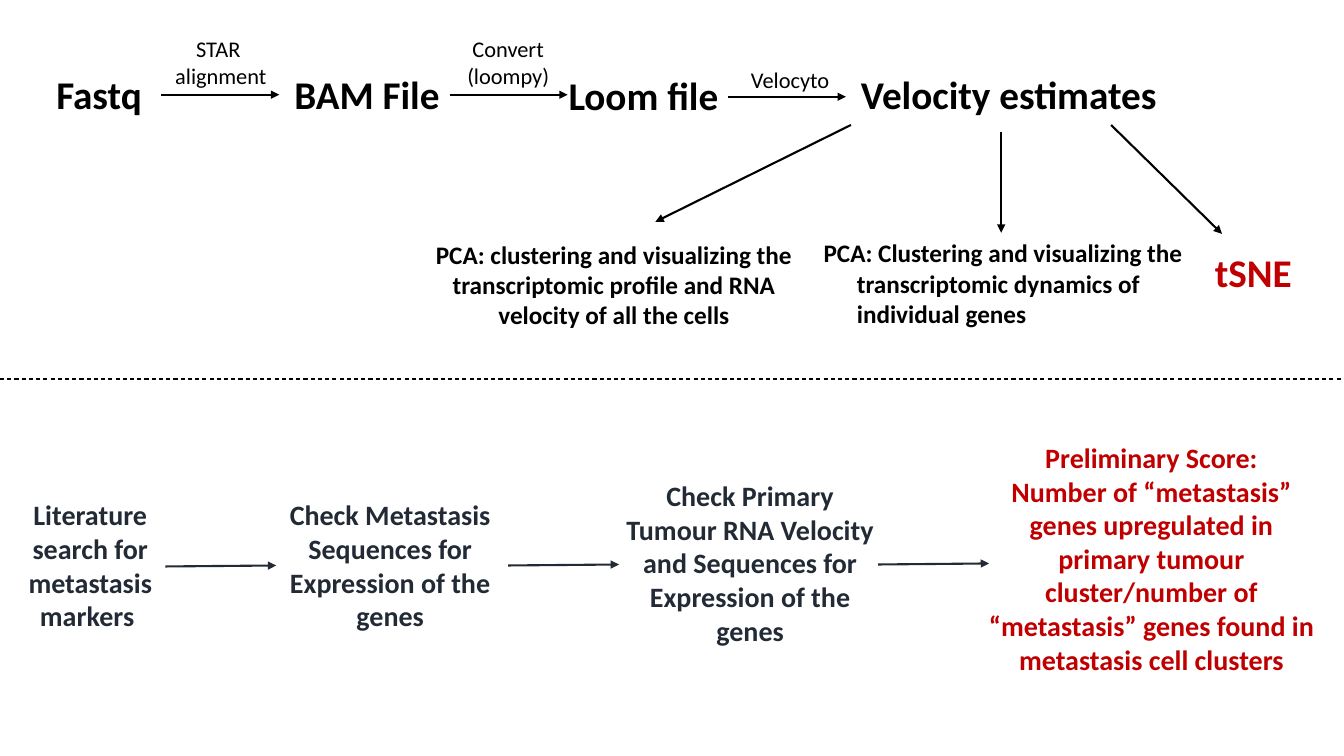
from lxml import etree
from pptx import Presentation
from pptx.dml.color import RGBColor
from pptx.enum.dml import MSO_LINE
from pptx.enum.shapes import MSO_CONNECTOR
from pptx.enum.text import PP_ALIGN
from pptx.oxml.ns import qn
from pptx.util import Inches, Pt

LEFT, CENTER = PP_ALIGN.LEFT, PP_ALIGN.CENTER
DASH = MSO_LINE.DASH
STRAIGHT = MSO_CONNECTOR.STRAIGHT
COLORS = {"black": "000000", "slate": "222A35", "red": "C00000"}
FONT = "Calibri"


class Board:
    """Holds the style and the current slide."""

    def __init__(self, slide):
        """Keep the slide to draw on."""
        self.slide = slide

    def text(self, box, words, size, color="black", bold=True, align=LEFT, hang=0):
        """Add a wrapped text box; each line of words is a paragraph."""
        frame = self.slide.shapes.add_textbox(*map(Inches, box)).text_frame
        frame.word_wrap = True
        frame.text = words
        for para in frame.paragraphs:
            para.alignment = align
            if hang:
                props = para._p.get_or_add_pPr()
                props.set("marL", str(Inches(hang)))
                props.set("indent", str(-Inches(hang)))
            for run in para.runs:
                font = run.font
                font.name, font.size, font.bold = FONT, Pt(size), bold
                font.color.rgb = RGBColor.from_string(COLORS[color])

    def line(self, start, end, color="black", width=1.5, dash=None):
        """Add a straight line without shadow."""
        link = self.slide.shapes.add_connector(
            STRAIGHT, *map(Inches, (*start, *end)))
        link.line.color.rgb = RGBColor.from_string(COLORS[color])
        link.line.width = Pt(width)
        if dash:
            link.line.dash_style = dash
        etree.SubElement(link._element.spPr, qn("a:effectLst"))
        return link

    def arrow(self, start, end, color="black"):
        """Add a line that ends in a triangle."""
        link = self.line(start, end, color)
        etree.SubElement(link.line._get_or_add_ln(), qn("a:tailEnd"), type="triangle")


def draw_files(board):
    """Draw the top row, from reads to velocity estimates."""
    for left, top, width, name in (
            (0.46, 0.65, 2.72, "Fastq"), (2.82, 0.65, 2.72, "BAM File"),
            (5.54, 0.66, 2.72, "Loom file"),
            (8.44, 0.65, 3.96, "Velocity estimates")):
        board.text((left, top, width, 0.57), name, 28)
    for left, y in ((1.6, 0.94), (4.46, 0.94), (7.22, 0.96)):
        board.arrow((left, y), (left + 1.17, y))
    for left, top, height, label, align in (
            (0.83, 0.3, 0.64, "STAR \nalignment", CENTER),
            (3.68, 0.3, 0.64, "Convert\n(loompy)", CENTER),
            (7.35, 0.61, 0.37, "Velocyto", LEFT)):
        board.text((left, top, 2.72, height), label, 16, bold=False, align=align)


def draw_plots(board):
    """Draw the three results of the velocity estimates."""
    for start, end in (((8.44, 1.24), (6.5, 2.2)),
                       ((9.93, 1.31), (9.93, 2.31)),
                       ((11.02, 1.24), (12.12, 2.32))):
        board.arrow(start, end)
    board.text((4.11, 2.32, 3.96, 1.01),
               "PCA: clustering and visualizing the transcriptomic profile "
               "and RNA velocity of all the cells", 18, align=CENTER)
    board.text((8.07, 2.31, 4.05, 1.01),
               "PCA: Clustering and visualizing the transcriptomic dynamics "
               "of individual genes", 18, hang=0.33)
    board.text((11.95, 2.41, 1.3, 0.57), "tSNE", 28, "red")


def draw_score(board):
    """Draw the bottom row, from literature to score."""
    for box, words, color in (
            ((0.02, 4.89, 1.75, 1.45),
             "Literature search for metastasis markers ", "slate"),
            ((2.51, 4.89, 2.72, 1.45),
             "Check Metastasis Sequences for Expression of the genes", "slate"),
            ((6.08, 4.7, 2.72, 1.78),
             "Check Primary Tumour RNA Velocity and Sequences for "
             "Expression of the genes", "slate"),
            ((9.65, 4.32, 3.54, 2.46),
             "Preliminary Score:\nNumber of “metastasis” genes upregulated in "
             "primary tumour cluster/number of “metastasis” genes found in "
             "metastasis cell clusters", "red")):
        board.text(box, words, 20, color, align=CENTER)
    for left, y in ((1.64, 5.62), (5.04, 5.61), (8.71, 5.6)):
        board.arrow((left, y), (left + 1.1, y - 0.01), "slate")


def main():
    """Build and save the slide."""
    deck = Presentation()
    deck.slide_width, deck.slide_height = Inches(13.33), Inches(7.5)
    board = Board(deck.slides.add_slide(deck.slide_layouts[6]))
    draw_files(board)
    draw_plots(board)
    draw_score(board)
    board.line((0, 3.76), (13.33, 3.76), width=0.75, dash=DASH)
    deck.save("out.pptx")


main()
